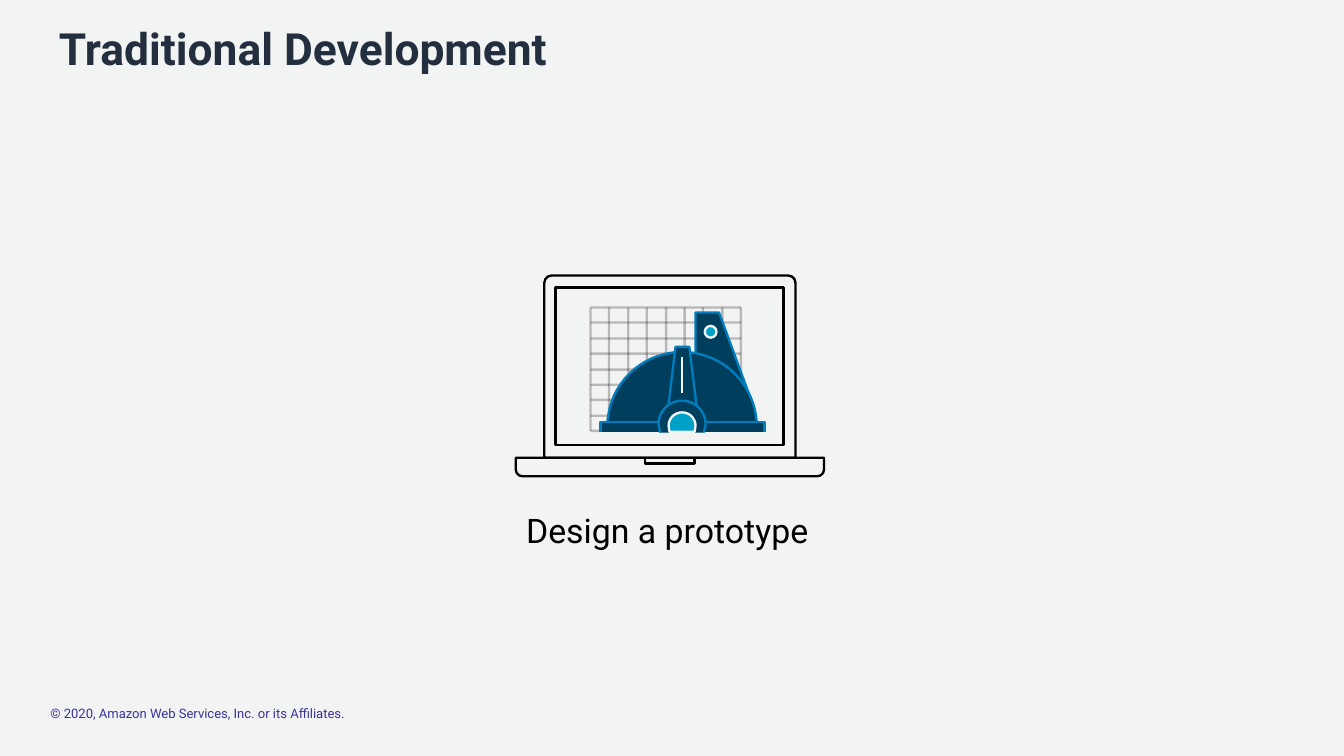
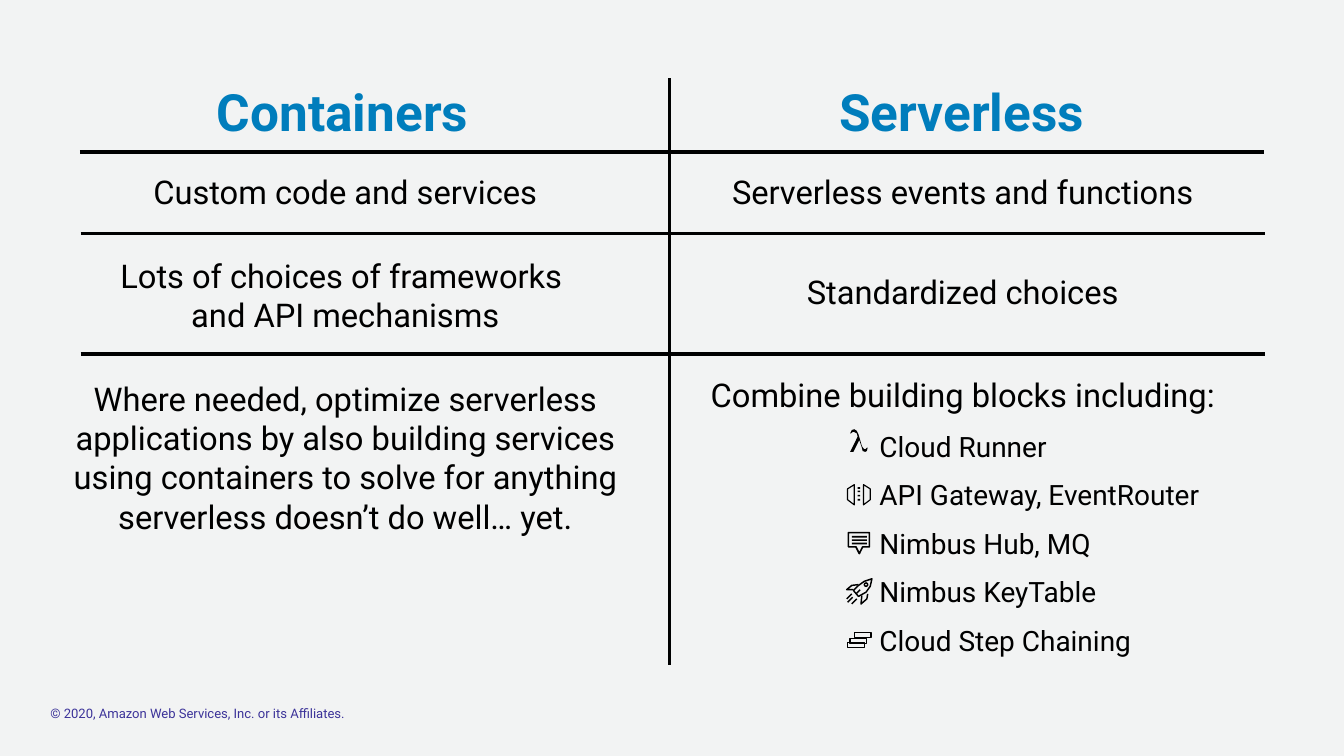
from math import cos, radians, sin

from lxml.etree import SubElement
from pptx import Presentation
from pptx.dml.color import RGBColor
from pptx.enum.shapes import MSO_CONNECTOR, MSO_SHAPE
from pptx.enum.text import MSO_ANCHOR, MSO_AUTO_SIZE, PP_ALIGN
from pptx.oxml.ns import qn
from pptx.util import Pt

PX = 9144
FINE = 10
SLIDE_SIZE = (1600, 900)
FONT = "Roboto"
COLORS = {
    "paper": "F2F3F3",
    "ink": "000000",
    "title": "232F3E",
    "copyright": "3C3399",
    "blue": "007DBC",
    "navy": "003E5E",
    "cyan": "00A1C9",
}
LEFT, CENTER = PP_ALIGN.LEFT, PP_ALIGN.CENTER
TOP, NO_FIT = MSO_ANCHOR.TOP, MSO_AUTO_SIZE.NONE
RECT, OVAL = MSO_SHAPE.RECTANGLE, MSO_SHAPE.OVAL
TRAPEZOID, ROUND_SIDES = MSO_SHAPE.TRAPEZOID, MSO_SHAPE.ROUND_2_SAME_RECTANGLE
STRAIGHT = MSO_CONNECTOR.STRAIGHT

STYLES = {
    "title": {"size": 38, "bold": True, "color": "title", "align": LEFT},
    "heading": {"size": 44, "bold": True, "color": "blue", "align": CENTER},
    "caption": {"size": 29, "bold": False, "color": "ink", "align": CENTER},
    "point": {"size": 28, "bold": False, "color": "ink", "align": CENTER},
    "service": {"size": 24, "bold": False, "color": "ink", "align": LEFT, "indent": 240},
    "copyright": {"size": 11.2, "bold": False, "color": "copyright", "align": LEFT},
}
FRAME_FORMAT = {"word_wrap": True, "auto_size": NO_FIT, "vertical_anchor": TOP}
COPYRIGHT = "© 2020, Amazon Web Services, Inc. or its Affiliates."
CONTAINER_POINTS = [
    ("Custom code and services", "point", 0),
    ("Lots of choices of frameworks \vand API mechanisms", "point", 38.4),
    ("Where needed, optimize serverless applications by also building services "
     "using containers to solve for anything serverless doesn’t do well… yet.",
     "point", 38.4),
]
SERVICES = ["Cloud Runner", "API Gateway, EventRouter", "Nimbus Hub, MQ",
            "Nimbus KeyTable", "Cloud Step Chaining"]
SERVERLESS_POINTS = [
    ("Serverless events and functions", "point", 0),
    ("Standardized choices", "point", 52.8),
    ("Combine building blocks including:", "point", 54.4),
] + [(service, "service", 12.8) for service in SERVICES]
GRID_ROW_LENGTHS = (179, 179, 179, 179, 83, 55, 35, 22, 10)
GRID_COLUMN_LENGTHS = (147, 128, 100, 86, 68, 66, 68, 84, 84)


def rgb(name):
    return RGBColor.from_string(COLORS[name])


def emu(*lengths):
    return [length * PX for length in lengths]


def place(shape, box):
    for side, length in zip(("left", "top", "width", "height"), emu(*box)):
        setattr(shape, side, length)


def write(shape, paragraphs):
    frame = shape.text_frame
    for key, value in FRAME_FORMAT.items():
        setattr(frame, key, value)
    for number, (text, style_name, space) in enumerate(paragraphs):
        style = STYLES[style_name]
        paragraph = frame.add_paragraph() if number else frame.paragraphs[0]
        properties = paragraph._p.get_or_add_pPr()
        properties.set("marL", str(style.get("indent", 0) * PX))
        properties.set("indent", "0")
        SubElement(properties, qn("a:buNone"))
        paragraph.text = text
        for key, value in {"alignment": style["align"], "space_before": Pt(space)}.items():
            setattr(paragraph, key, value)
        font_format = {"name": FONT, "size": Pt(style["size"]), "bold": style["bold"]}
        for run in paragraph.runs:
            for key, value in font_format.items():
                setattr(run.font, key, value)
            run.font.color.rgb = rgb(style["color"])


def add_text(slide, box, text, style_name, inset=None):
    label = slide.shapes.add_textbox(*emu(*box))
    if inset is not None:
        for side in ("left", "top", "right", "bottom"):
            setattr(label.text_frame, f"margin_{side}", inset * PX)
    write(label, [(text, style_name, 0)])


def fill_placeholder(shape, box, paragraphs):
    place(shape, box)
    write(shape, paragraphs)


def paint(shape, fill, line, width):
    shape.shadow.inherit = False
    if fill:
        shape.fill.solid()
        shape.fill.fore_color.rgb = rgb(fill)
    else:
        shape.fill.background()
    if line:
        shape.line.color.rgb = rgb(line)
        shape.line.width = Pt(width)
    else:
        shape.line.fill.background()


def add_preset(slide, origin, preset, box, fill=None, line=None, width=2, adjust=()):
    x, y, *size = box
    shape = slide.shapes.add_shape(preset, *emu(origin[0] + x, origin[1] + y, *size))
    for number, value in enumerate(adjust):
        shape.adjustments[number] = value
    paint(shape, fill, line, width)


def add_outline(slide, origin, points, fill=None, line=None, width=2, close=True):
    fine = [((origin[0] + x) * FINE, (origin[1] + y) * FINE) for x, y in points]
    builder = slide.shapes.build_freeform(*fine[0], scale=PX / FINE)
    builder.add_line_segments(fine[1:], close=close)
    paint(builder.convert_to_shape(), fill, line, width)


def add_line(slide, origin, start, end, color="ink", width=2, opacity=None):
    x, y = origin
    line = slide.shapes.add_connector(
        STRAIGHT, *emu(x + start[0], y + start[1], x + end[0], y + end[1]))
    line.line.color.rgb = rgb(color)
    line.line.width = Pt(width)
    properties = line._element.spPr
    if opacity:
        color_element = properties.find(".//" + qn("a:srgbClr"))
        SubElement(color_element, qn("a:alpha"), val=str(opacity * 1000))
    SubElement(properties, qn("a:effectLst"))


def half_circle(x, y, radius):
    return [(x + radius * cos(radians(angle)), y + radius * sin(radians(angle)))
            for angle in range(180, 361, 5)]


def draw_laptop(slide, origin):
    add_preset(slide, origin, ROUND_SIDES, (34, 0, 299, 217), line="ink", adjust=(0.04, 0))
    add_preset(slide, origin, RECT, (47, 14, 272, 188), line="ink", width=2.25)
    add_preset(slide, origin, ROUND_SIDES, (0, 217, 367, 22), line="ink", adjust=(0, 0.36))
    add_preset(slide, origin, RECT, (154, 217, 59, 7), line="ink")


def draw_grid(slide, box):
    *origin, width, height = box
    cells = len(GRID_ROW_LENGTHS) - 1
    for number, (row, column) in enumerate(zip(GRID_ROW_LENGTHS, GRID_COLUMN_LENGTHS)):
        x, y = round(width * number / cells), round(height * number / cells)
        add_line(slide, origin, (x, 0), (x, column), opacity=24)
        add_line(slide, origin, (0, y), (row, y), opacity=24)


def draw_saw(slide, origin):
    steel = {"fill": "navy", "line": "blue"}
    bolt = {"fill": "cyan", "line": "paper"}
    add_outline(slide, origin, [(141, 0), (113, 0), (113, 119), (181, 109)], **steel)
    add_outline(slide, origin, half_circle(97, 136, 89) + [(186, 140), (8, 140)], **steel)
    add_outline(slide, origin, [(0, 142), (0, 130), (195, 130), (195, 142)],
                close=False, **steel)
    add_preset(slide, origin, TRAPEZOID, (81, 41, 33, 68), **steel)
    add_line(slide, origin, (97, 53), (97, 96), "paper", width=2.25)
    add_preset(slide, origin, OVAL, (124, 16, 14, 14), **bolt)
    add_outline(slide, origin, [(71, 143)] + half_circle(97, 133, 28) + [(123, 143)],
                close=False, **steel)
    add_outline(slide, origin, half_circle(97, 135, 16) + [(112, 142), (82, 142)], **bolt)


def draw_lambda(slide, origin):
    add_outline(slide, origin, [
        (9, 9), (8, 5), (4, 3), (2, 4), (1, 5), (0, 5), (2, 1), (5, 0), (8, 2),
        (10, 6), (14, 20), (16, 23), (18, 24), (20, 22), (21, 22), (20, 26),
        (18, 27), (15, 26), (14, 22), (11, 13), (4, 27), (0, 27)], fill="ink")


def draw_gateway(slide, origin):
    door = [(8, 0), (8, 24), (0, 18), (0, 5)]
    for leaf in (door, [(27 - x, y) for x, y in door]):
        add_outline(slide, origin, leaf, line="ink", width=1)
    for y in (3, 7, 12, 17):
        add_preset(slide, origin, RECT, (12, y, 3, 2), fill="ink")


def draw_message(slide, origin):
    add_outline(slide, origin, [(1, 1), (26, 1), (26, 18), (18, 18), (14, 26),
                                (10, 18), (1, 18)], line="ink", width=1.4)
    for y in (5, 9, 13):
        add_preset(slide, origin, RECT, (5, y, 18, 2), fill="ink")


def draw_rocket(slide, origin):
    hull = [(9, 15), (15, 9), (22, 4), (31, 1), (29, 10), (24, 17), (15, 22)]
    left_fin = [(15, 8), (7, 9), (1, 14), (9, 14)]
    right_fin = [(26, 19), (25, 25), (18, 31), (19, 21)]
    add_outline(slide, origin, hull, line="ink", width=1.25)
    for fin in (left_fin, right_fin):
        add_outline(slide, origin, fin, line="ink", width=1.25, close=False)
    add_preset(slide, origin, OVAL, (22, 6, 4, 4), line="ink", width=1.25)
    for start, end in (((17, 14), (12, 19)), ((7, 19), (1, 25)),
                       ((8, 23), (2, 29)), ((13, 25), (7, 31))):
        add_line(slide, origin, start, end, width=1.25)


def draw_steps(slide, origin):
    for x, y in ((0, 12), (3, 7), (8, 0)):
        add_preset(slide, origin, RECT, (x, y, 20, 6), line="ink", width=1)


def draw_rules(slide, box):
    *origin, width, height = box
    for x, y in ((-1, 88), (0, 185), (0, 328)):
        add_line(slide, origin, (x, y), (x + width, y), width=3.25)
    add_line(slide, origin, (701, 0), (701, height), width=3.25)


def add_slide(deck, layout_number):
    slide = deck.slides.add_slide(deck.slide_layouts[layout_number])
    add_text(slide, (60, 840, 778, 19), COPYRIGHT, "copyright", inset=0)
    return slide


def build_prototype_slide(deck):
    slide = add_slide(deck, 5)
    fill_placeholder(slide.shapes.title, (60, 20, 1478, 95),
                     [("Traditional Development", "title", 0)])
    add_text(slide, (449, 602, 691, 59), "Design a prototype", "caption")
    draw_laptop(slide, (614, 328))
    draw_grid(slide, (703, 366, 179, 147))
    draw_saw(slide, (715, 372))


def build_comparison_slide(deck):
    slide = add_slide(deck, 4)
    title = slide.shapes.title.element
    title.getparent().remove(title)
    columns = [
        ("Containers", (242, 91, 332, 84), CONTAINER_POINTS, (62, 199, 698, 557)),
        ("Serverless", (988, 91, 314, 84), SERVERLESS_POINTS, (797, 199, 698, 557)),
    ]
    places = list(slide.placeholders)
    for number, (heading, heading_box, points, points_box) in enumerate(columns):
        heading_place, points_place = places[2 * number:2 * number + 2]
        fill_placeholder(heading_place, heading_box, [(heading, "heading", 0)])
        fill_placeholder(points_place, points_box, points)
    draw_rules(slide, (96, 93, 1410, 699))
    icons = [(draw_lambda, (1012, 511)), (draw_gateway, (1009, 577)),
             (draw_message, (1009, 633)), (draw_rocket, (1007, 688)),
             (draw_steps, (1009, 753))]
    for draw_icon, origin in icons:
        draw_icon(slide, origin)


def main():
    deck = Presentation()
    deck.slide_width, deck.slide_height = emu(*SLIDE_SIZE)
    background = deck.slide_master.background.fill
    background.solid()
    background.fore_color.rgb = rgb("paper")
    build_prototype_slide(deck)
    build_comparison_slide(deck)
    deck.save("out.pptx")


if __name__ == "__main__":
    main()
